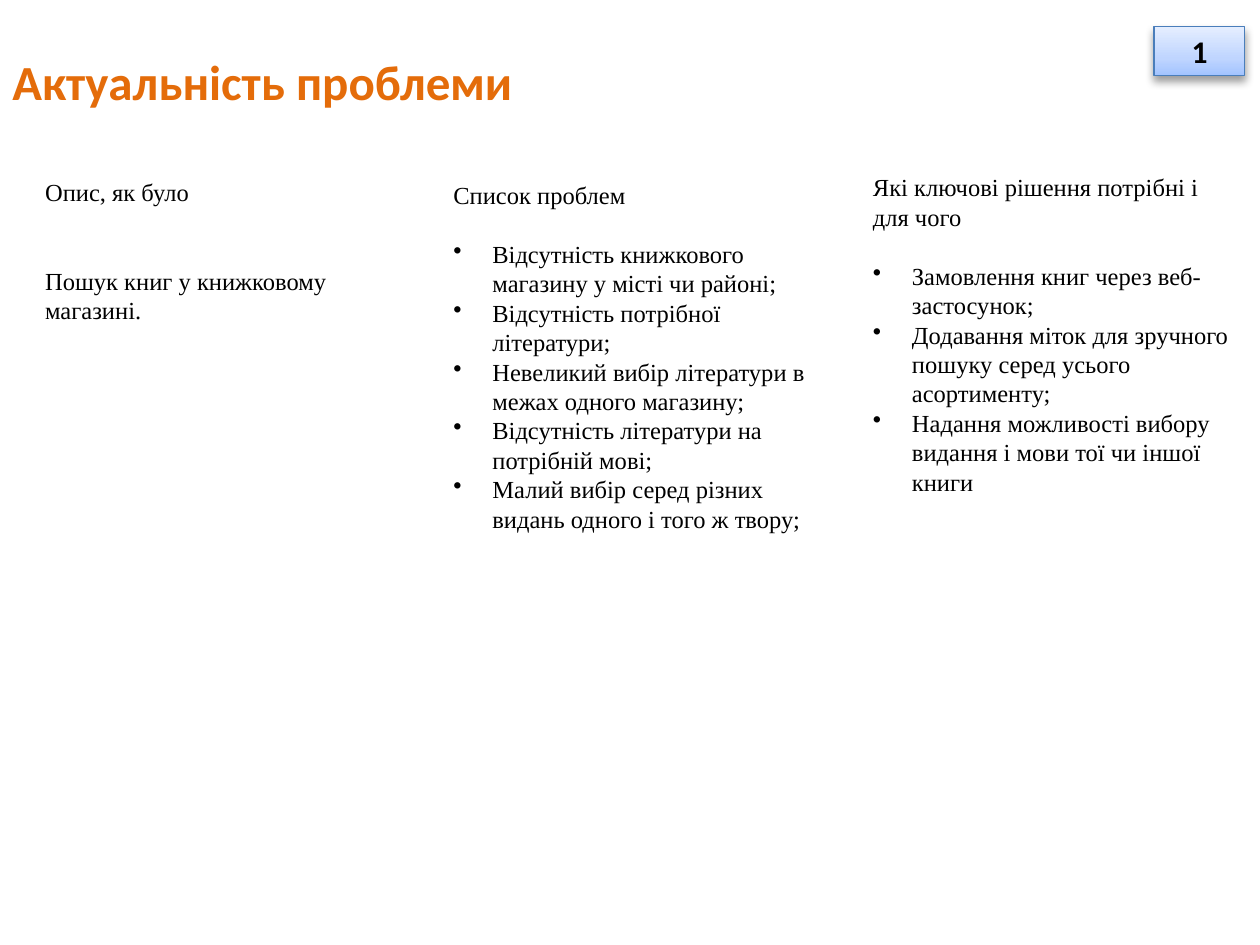
import dataclasses

import lxml.etree
import pptx
import pptx.dml.color
import pptx.enum.shapes
import pptx.enum.text
import pptx.oxml.ns
import pptx.util

Inches = pptx.util.Inches
Pt = pptx.util.Pt
Anchor = pptx.enum.text.MSO_ANCHOR
Align = pptx.enum.text.PP_ALIGN


@dataclasses.dataclass(frozen=True)
class Theme:
    ink: str = "000000"
    accent: str = "E46C0A"
    border: str = "4A7EBB"
    gradient: tuple = ((0, "A3C4FF"), (35, "BFD5FF"), (100, "E5EEFF"))
    heading_font: str = "Calibri"
    body_font: str = "Times New Roman"
    title_size: int = 28
    number_size: int = 18
    body_size: int = 14
    body_line: float = 16.8


def add_node(parent, tag, **attributes):
    values = {name: str(value) for name, value in attributes.items()}
    return lxml.etree.SubElement(parent, pptx.oxml.ns.qn(tag), values)


class SlideBuilder:
    def __init__(self, slide, theme):
        self.slide = slide
        self.theme = theme
        self.title_format = {"name": theme.heading_font, "size": Pt(theme.title_size), "bold": True}
        self.number_format = {"name": theme.heading_font, "size": Pt(theme.number_size), "bold": True}
        self.body_format = {"name": theme.body_font, "size": Pt(theme.body_size)}

    def add_text(self, para, text, font_format, color):
        span = para.add_run()
        span.text = text
        for name, value in font_format.items():
            setattr(span.font, name, value)
        span.font.color.rgb = pptx.dml.color.RGBColor.from_string(color)

    def text_box(self, left, top, width, height, anchor=Anchor.TOP):
        box = self.slide.shapes.add_textbox(*map(Inches, (left, top, width, height)))
        frame = box.text_frame
        frame.word_wrap = True
        frame.vertical_anchor = anchor
        return frame

    def title(self, text):
        frame = self.text_box(0, 0.21, 9.01, 0.86, Anchor.MIDDLE)
        self.add_text(frame.paragraphs[0], text, self.title_format, self.theme.accent)

    def number_badge(self, text):
        badge = self.slide.shapes.add_shape(
            pptx.enum.shapes.MSO_SHAPE.RECTANGLE, *map(Inches, (9.16, 0.21, 0.72, 0.39)))
        badge.line.color.rgb = pptx.dml.color.RGBColor.from_string(self.theme.border)
        badge.line.width = Pt(0.75)
        self.fill_gradient(badge)
        self.drop_shadow(badge)
        badge.text_frame.vertical_anchor = Anchor.MIDDLE
        para = badge.text_frame.paragraphs[0]
        para.alignment = Align.CENTER
        self.add_text(para, text, self.number_format, self.theme.ink)

    def fill_gradient(self, shape):
        shape.fill.gradient()
        shape.fill.gradient_angle = 90
        stops = shape.element.spPr.find(".//" + pptx.oxml.ns.qn("a:gsLst"))
        for stop in list(stops):
            stops.remove(stop)
        for percent, color in self.theme.gradient:
            add_node(add_node(stops, "a:gs", pos=percent * 1000), "a:srgbClr", val=color)

    def drop_shadow(self, shape):
        shape.shadow.inherit = False
        effects = shape.element.spPr.find(pptx.oxml.ns.qn("a:effectLst"))
        shadow = add_node(effects, "a:outerShdw", blurRad=Pt(5), dist=Pt(3),
                          dir=90 * 60000, rotWithShape=0)
        add_node(add_node(shadow, "a:srgbClr", val=self.theme.ink), "a:alpha", val=39000)

    def bullet(self, para):
        properties = para._p.get_or_add_pPr()
        properties.set("marL", str(Inches(0.31)))
        properties.set("indent", str(Inches(-0.31)))
        add_node(add_node(properties, "a:buClr"), "a:srgbClr", val=self.theme.ink)
        add_node(properties, "a:buChar", char="•")

    def column(self, left, top, height, heading, items, gap_lines=1, bulleted=True):
        frame = self.text_box(left, top, 3.1, height)
        para = frame.paragraphs[0]
        para.space_after = Pt(gap_lines * self.theme.body_line)
        self.add_text(para, heading, self.body_format, self.theme.ink)
        for item in items:
            para = frame.add_paragraph()
            if bulleted:
                self.bullet(para)
            self.add_text(para, item, self.body_format, self.theme.ink)


def main():
    deck = pptx.Presentation()
    deck.slide_width, deck.slide_height = Inches(10), Inches(7.5)
    page = SlideBuilder(deck.slides.add_slide(deck.slide_layouts[6]), Theme())

    page.title("Актуальність проблеми")
    page.number_badge("1")
    page.column(0.26, 1.36, 3.26, "Опис, як було",
                ["Пошук книг у книжковому магазині."], gap_lines=2, bulleted=False)
    page.column(3.5, 1.38, 5.51, "Список проблем", [
        "Відсутність книжкового магазину у місті чи районі;",
        "Відсутність потрібної літератури;",
        "Невеликий вибір літератури в межах одного магазину;",
        "Відсутність літератури на потрібній мові;",
        "Малий вибір серед різних видань одного і того ж твору;",
    ])
    page.column(6.83, 1.32, 4.8, "Які ключові рішення потрібні і для чого", [
        "Замовлення книг через веб-застосунок;",
        "Додавання міток для зручного пошуку серед усього асортименту;",
        "Надання можливості вибору видання і мови тої чи іншої книги",
    ])
    deck.save("out.pptx")


if __name__ == "__main__":
    main()
